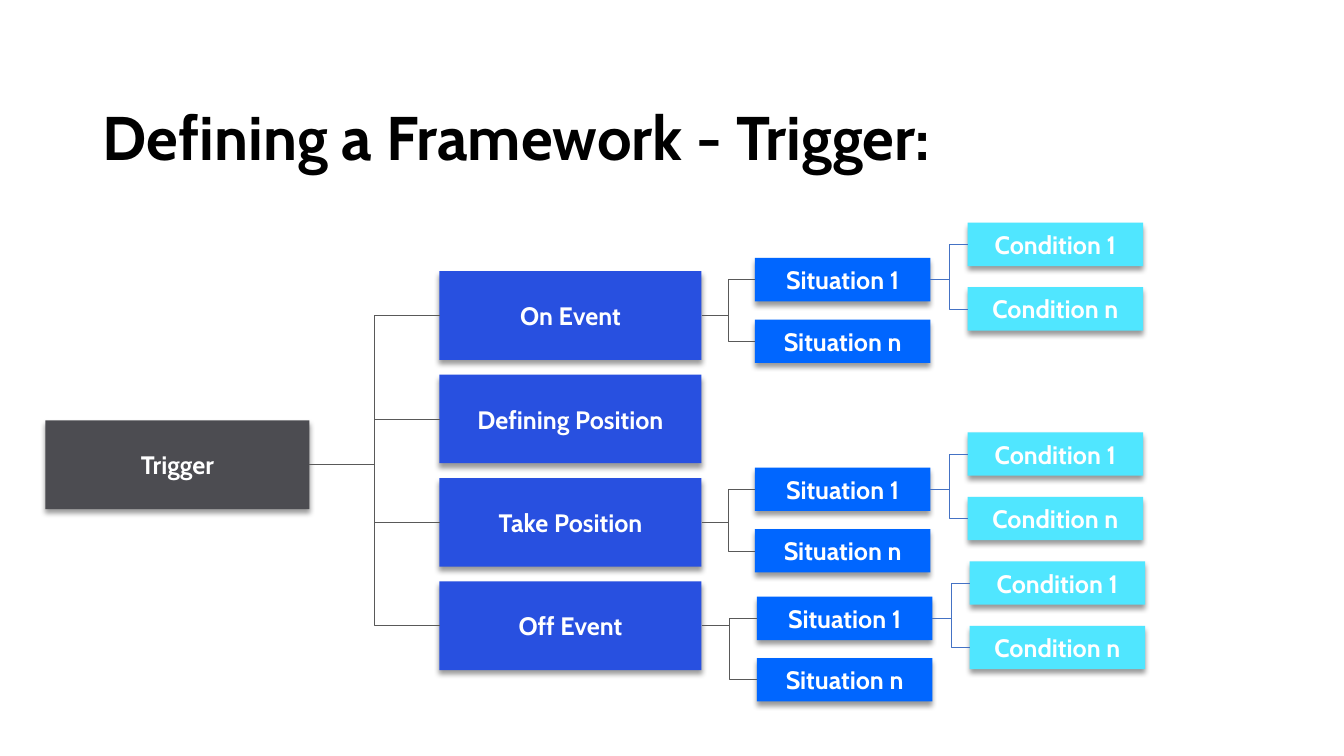
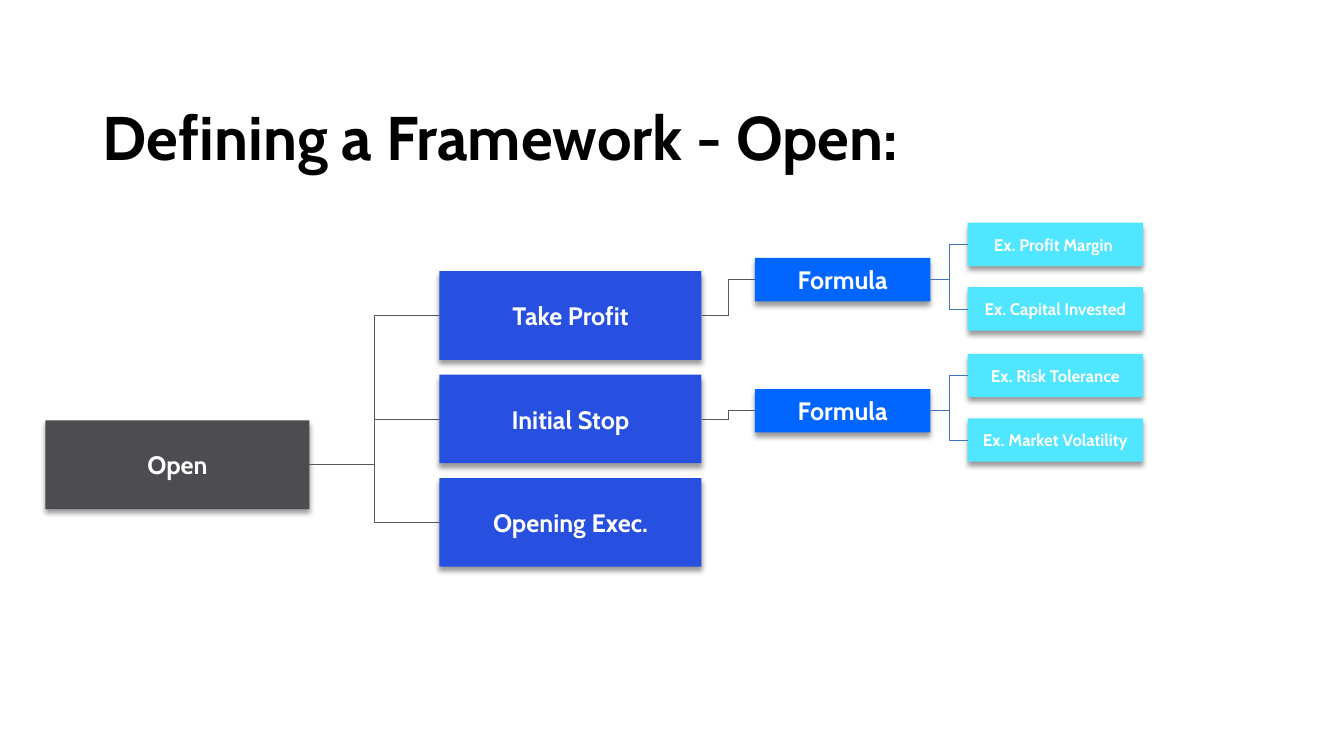
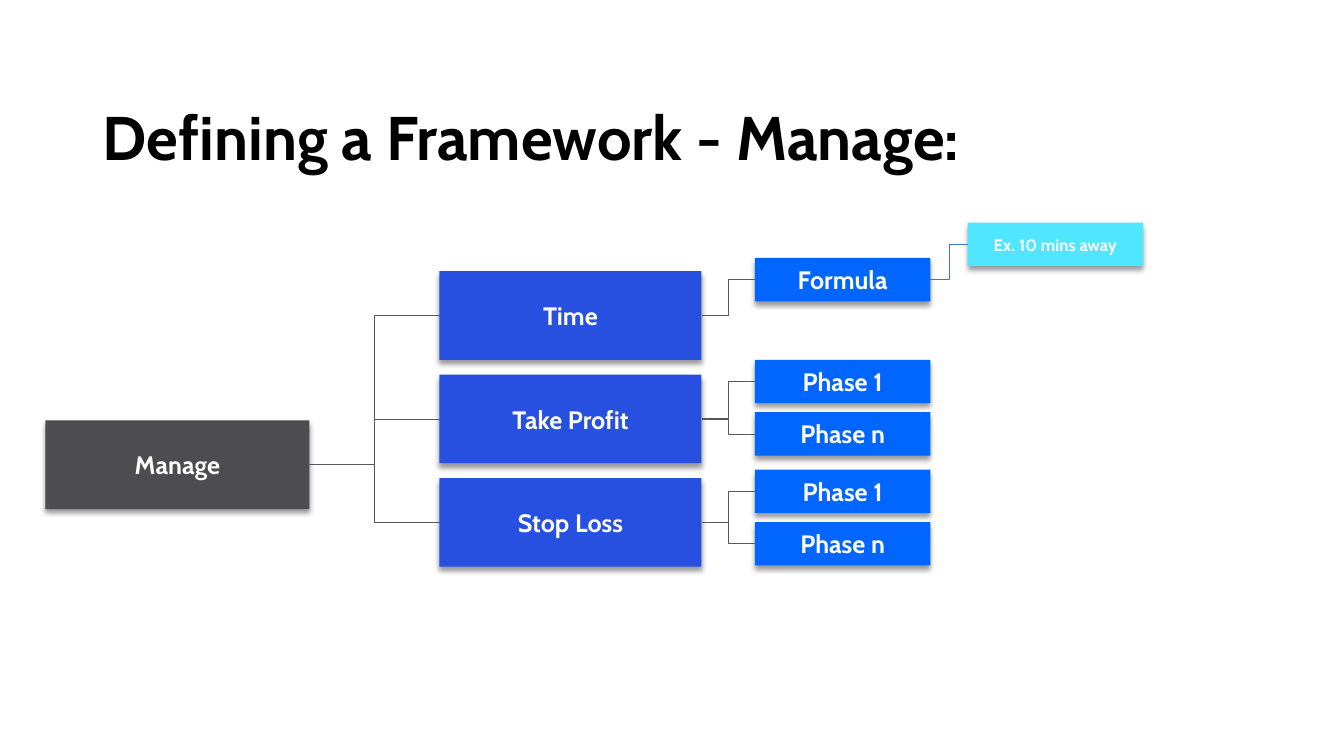
from dataclasses import dataclass

from pptx import Presentation
from pptx import util as u
from pptx.dml.color import RGBColor
from pptx.enum import shapes, text
from pptx.oxml import parse_xml
from pptx.oxml.ns import nsdecls


@dataclass(frozen=True)
class Theme:
    font: str = "Cabin"
    black: str = "000000"
    white: str = "FFFFFF"
    gray: str = "595959"
    steel: str = "4472C4"
    head: int = 44
    body: int = 18
    small: int = 12
    rule: float = 0.5


@dataclass(frozen=True)
class Level:
    left: float
    width: float
    height: float
    fill: str


@dataclass(frozen=True)
class Group:
    label: str
    top: float = 0
    kids: tuple = ()
    leaves: tuple = ()
    pitch: float = 6.1
    shift: float = 0


THEME = Theme()
CELL = u.Inches(0.1)
COLS, ROWS = 133.33, 75
TITLE = (9.2, 9.4, 115, 9.1)
TREE = (4.5, 22.1)
ROOT = Level(0, 26.2, 8.8, "4C4C51")
BRANCH = Level(39.1, 26, 8.8, "2850E0")
KID = Level(70.4, 17.4, 4.3, "0066FF")
LEAF = Level(91.5, 17.4, 4.3, "50E6FF")
ROOT_TOP, BRANCH_TOP, BRANCH_PITCH = 19.6, 4.8, 10.26
LEAF_RISE, LEAF_PITCH = 3.5, 6.4
LEFT_SIDE, RIGHT_SIDE = 1, 3


def cells(*counts):
    return [round(n * CELL) for n in counts]


def write(frame, words, size=THEME.body, color=THEME.white,
          align=text.PP_ALIGN.CENTER, spacing=None):
    frame.word_wrap = True
    frame.vertical_anchor = text.MSO_ANCHOR.MIDDLE
    para = frame.paragraphs[0]
    para.alignment = align
    para.line_spacing = spacing
    run = para.add_run()
    run.text = words
    font = run.font
    font.name, font.size, font.bold = THEME.font, u.Pt(size), True
    font.color.rgb = RGBColor.from_string(color)


def shade(node):
    node.shadow.inherit = False
    drop = parse_xml(
        f'<a:outerShdw {nsdecls("a")} blurRad="{u.Pt(4)}" dist="{u.Pt(3)}" '
        f'dir="5400000" algn="t" rotWithShape="0"><a:srgbClr val="{THEME.black}">'
        '<a:alpha val="40000"/></a:srgbClr></a:outerShdw>')
    node.element.spPr.find("{*}effectLst").append(drop)


def add_node(slide, level, top, words, size=THEME.body, shift=0):
    place = cells(TREE[0] + level.left + shift, TREE[1] + top,
                  level.width, level.height)
    node = slide.shapes.add_shape(shapes.MSO_SHAPE.RECTANGLE, *place)
    node.fill.solid()
    node.fill.fore_color.rgb = RGBColor.from_string(level.fill)
    node.line.fill.background()
    shade(node)
    write(node.text_frame, words, size)
    return node


def join(slide, start, end, color=THEME.gray):
    link = slide.shapes.add_connector(
        shapes.MSO_CONNECTOR.ELBOW,
        start.left + start.width, start.top + start.height // 2,
        end.left, end.top + end.height // 2)
    link.begin_connect(start, RIGHT_SIDE)
    link.end_connect(end, LEFT_SIDE)
    link.line.color.rgb = RGBColor.from_string(color)
    link.line.width = u.Pt(THEME.rule)
    link.element.spPr.append(parse_xml(f'<a:effectLst {nsdecls("a")}/>'))


def add_group(slide, branch, group, size):
    kids = [add_node(slide, KID, group.top + i * group.pitch, words,
                     shift=group.shift)
            for i, words in enumerate(group.kids)]
    for kid in kids:
        join(slide, branch, kid)
    for i, words in enumerate(group.leaves):
        top = group.top - LEAF_RISE + i * LEAF_PITCH
        leaf = add_node(slide, LEAF, top, words, size, group.shift)
        join(slide, kids[0], leaf, THEME.steel)


def add_tree(deck, name, groups, size=THEME.small):
    slide = deck.slides.add_slide(deck.slide_layouts[5])
    write(slide.shapes.title.text_frame, f"Defining a Framework - {name}:",
          THEME.head, THEME.black, text.PP_ALIGN.LEFT, 0.9)
    root = add_node(slide, ROOT, ROOT_TOP, name)
    for i, group in enumerate(groups):
        branch = add_node(slide, BRANCH, BRANCH_TOP + i * BRANCH_PITCH,
                          group.label)
        join(slide, root, branch)
        add_group(slide, branch, group, size)


def main():
    deck = Presentation()
    deck.slide_width, deck.slide_height = cells(COLS, ROWS)
    title = deck.slide_layouts[5].placeholders[0]
    title.left, title.top, title.width, title.height = cells(*TITLE)

    cases = ("Situation 1", "Situation n")
    tests = ("Condition 1", "Condition n")
    phases = ("Phase 1", "Phase n")
    add_tree(deck, "Trigger", [
        Group("On Event", 3.5, cases, tests),
        Group("Defining Position"),
        Group("Take Position", 24.3, cases, tests),
        Group("Off Event", 37.1, cases, tests, shift=0.2),
    ], THEME.body)
    add_tree(deck, "Open", [
        Group("Take Profit", 3.5, ("Formula",),
              ("Ex. Profit Margin ", "Ex. Capital Invested")),
        Group("Initial Stop", 16.5, ("Formula",),
              ("Ex. Risk Tolerance", "Ex. Market Volatility")),
        Group("Opening Exec."),
    ])
    add_tree(deck, "Manage", [
        Group("Time", 3.5, ("Formula",), ("Ex. 10 mins away",)),
        Group("Take Profit", 13.6, phases, pitch=5.2),
        Group("Stop Loss", 24.5, phases, pitch=5.2),
    ])
    deck.save("out.pptx")


main()
